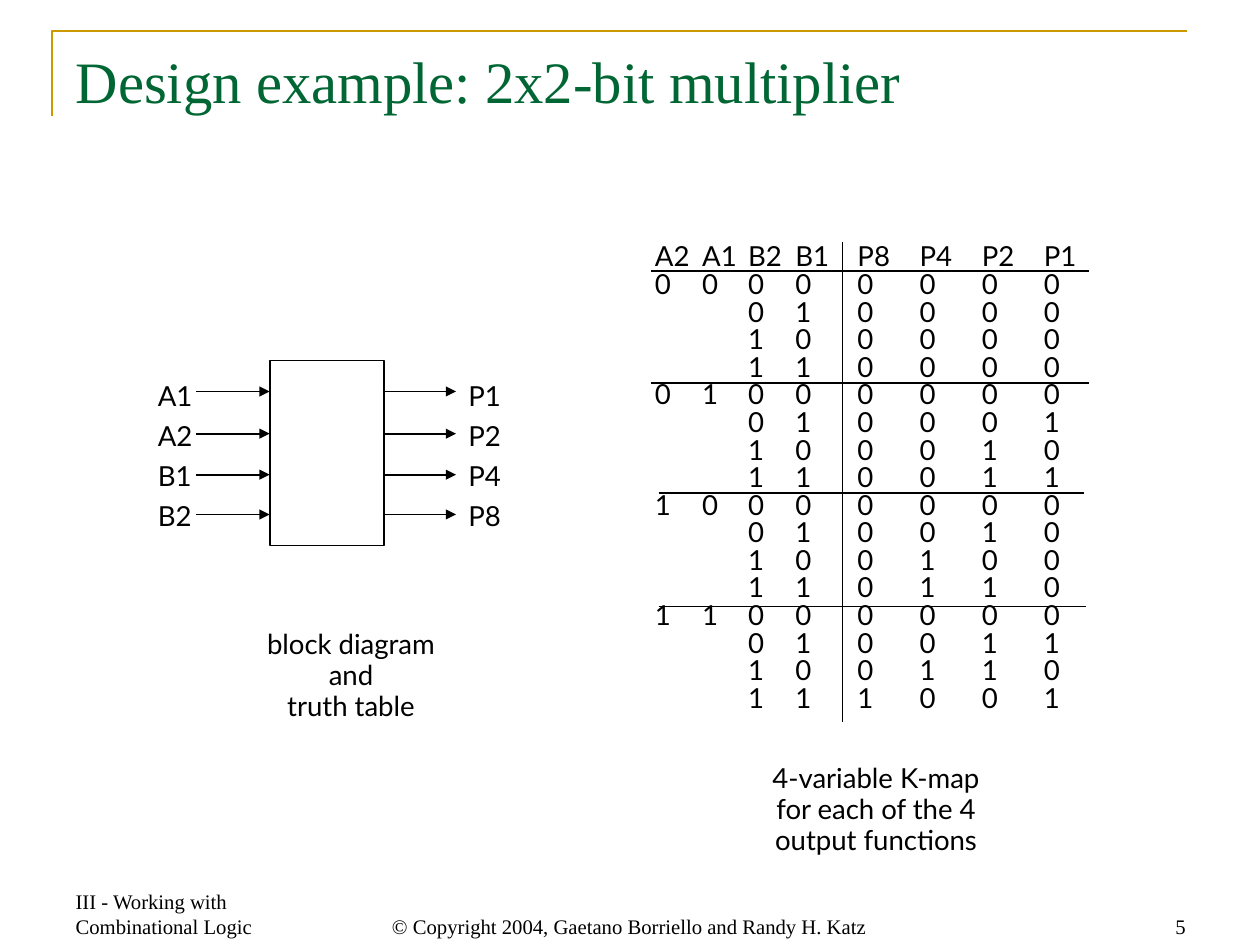
"""Build the 2x2-bit multiplier slide with its block diagram and truth table."""
import itertools

import lxml.etree
import pptx
import pptx.dml.color
import pptx.enum.shapes
import pptx.enum.text
import pptx.oxml.ns
import pptx.util

PX = 9144
SERIF, SANS = "Times New Roman", "Lato"
COLORS = {"text": "000000", "title": "006633", "frame": "CC9900"}
ALIGN = pptx.enum.text.PP_ALIGN
ANCHOR = pptx.enum.text.MSO_ANCHOR
COLUMN_TABS = [38, 75, 113, 163, 213, 263, 313]
PIN_ROWS = [315, 349, 382, 414]


def px(*lengths):
    return [pptx.util.Emu(n * PX) for n in lengths]


def rgb(name):
    return pptx.dml.color.RGBColor.from_string(COLORS[name])


def add_xml(parent, tag, **attributes):
    return lxml.etree.SubElement(parent, pptx.oxml.ns.qn(tag), attributes)


def set_line(sp, color="text", width=1):
    sp.line.color.rgb = rgb(color)
    sp.line.width = pptx.util.Pt(width)


def set_text(sp, lines, size, font, color="text", align=ALIGN.LEFT,
             anchor=ANCHOR.TOP, margins=(10, 5), spacing=None, tabs=()):
    tf = sp.text_frame
    tf.word_wrap = True
    tf.auto_size = pptx.enum.text.MSO_AUTO_SIZE.NONE
    tf.vertical_anchor = anchor
    tf.margin_left, tf.margin_top = px(*margins)
    tf.margin_right, tf.margin_bottom = px(*margins)
    for i, line in enumerate(lines):
        p = tf.add_paragraph() if i else tf.paragraphs[0]
        p.alignment = align
        p.line_spacing = spacing
        if tabs:
            tab_list = add_xml(p._p.get_or_add_pPr(), "a:tabLst")
            for tab in tabs:
                add_xml(tab_list, "a:tab", pos=str(tab * PX), algn="l")
        r = p.add_run()
        r.text = line
        r.font.size = pptx.util.Pt(size)
        r.font.name = font
        r.font.color.rgb = rgb(color)


def add_label(shapes, box, lines, **options):
    sp = shapes.add_textbox(*px(*box))
    set_text(sp, lines, 16, SANS, margins=(2, 3), **options)


def add_footer(shapes, box, text, align):
    sp = shapes.add_textbox(*px(*box))
    set_text(sp, [text], 12, SERIF, align=align, anchor=ANCHOR.BOTTOM)


def add_line(shapes, x1, y1, x2, y2, arrow=False):
    straight = pptx.enum.shapes.MSO_CONNECTOR.STRAIGHT
    line = shapes.add_connector(straight, *px(x1, y1, x2, y2))
    set_line(line)
    if arrow:
        add_xml(line.line._get_or_add_ln(), "a:tailEnd", type="triangle")
    add_xml(line._element.spPr, "a:effectLst")


def add_frame(shapes):
    builder = shapes.build_freeform(42, 93, scale=PX)
    builder.add_line_segments([(42, 25), (955, 25)], close=False)
    sp = builder.convert_to_shape()
    sp.shadow.inherit = False
    sp.fill.background()
    set_line(sp, "frame", 1.5)


def add_title(slide, text):
    title = slide.shapes.title
    title.left, title.top, title.width, title.height = px(51, 31, 912, 126)
    set_text(title, [text], 34, SERIF, "title")


def add_block_diagram(slide):
    shapes = slide.shapes.add_group_shape().shapes
    block = shapes.add_shape(pptx.enum.shapes.MSO_SHAPE.RECTANGLE,
                             *px(217, 290, 92, 149))
    block.shadow.inherit = False
    block.fill.background()
    set_line(block)
    add_label(shapes, (125, 297, 33, 133), ["A1", "A2", "B1", "B2"], spacing=1.2)
    add_label(shapes, (375, 297, 33, 133), ["P1", "P2", "P4", "P8"], spacing=1.2)
    for x, y in itertools.product((158, 308), PIN_ROWS):
        add_line(shapes, x, y, x + 59, y, arrow=True)


def truth_rows():
    rows = ["\t".join(["A2", "A1", "B2", "B1", "P8", "P4", "P2", "P1"])]
    for a, b in itertools.product(range(4), repeat=2):
        inputs = ["", ""] if b else list(f"{a:02b}")
        rows.append("\t".join([*inputs, *f"{b:02b}", *f"{a * b:04b}"]))
    return rows


def add_truth_table(shapes):
    for x1, x2, y in [(524, 876, 218), (524, 876, 308),
                      (530, 872, 397), (530, 874, 488)]:
        add_line(shapes, x1, y, x2, y)
    add_line(shapes, 678, 195, 678, 581)
    add_label(shapes, (525, 194, 358, 414), truth_rows(),
              spacing=pptx.util.Pt(16), tabs=COLUMN_TABS)


def main():
    prs = pptx.Presentation()
    prs.slide_width, prs.slide_height = pptx.util.Pt(730), pptx.util.Pt(547.5)
    slide = prs.slides.add_slide(prs.slide_layouts[5])
    shapes = slide.shapes
    add_frame(shapes)
    add_title(slide, "Design example: 2x2-bit multiplier")
    add_block_diagram(slide)
    add_truth_table(shapes)
    caption = {"align": ALIGN.CENTER, "spacing": pptx.util.Pt(18)}
    add_label(shapes, (186, 503, 193, 89),
              ["block diagram", "and", "truth table"], **caption)
    add_label(shapes, (583, 611, 244, 89),
              ["4-variable K-map", "for each of the 4", "output functions"],
              **caption)
    add_footer(shapes, (51, 709, 237, 51),
               "III - Working with Combinational Logic", ALIGN.LEFT)
    add_footer(shapes, (290, 709, 433, 51),
               "© Copyright 2004, Gaetano Borriello and Randy H. Katz", ALIGN.CENTER)
    add_footer(shapes, (727, 709, 237, 51), "5", ALIGN.RIGHT)
    prs.save("out.pptx")


if __name__ == "__main__":
    main()
